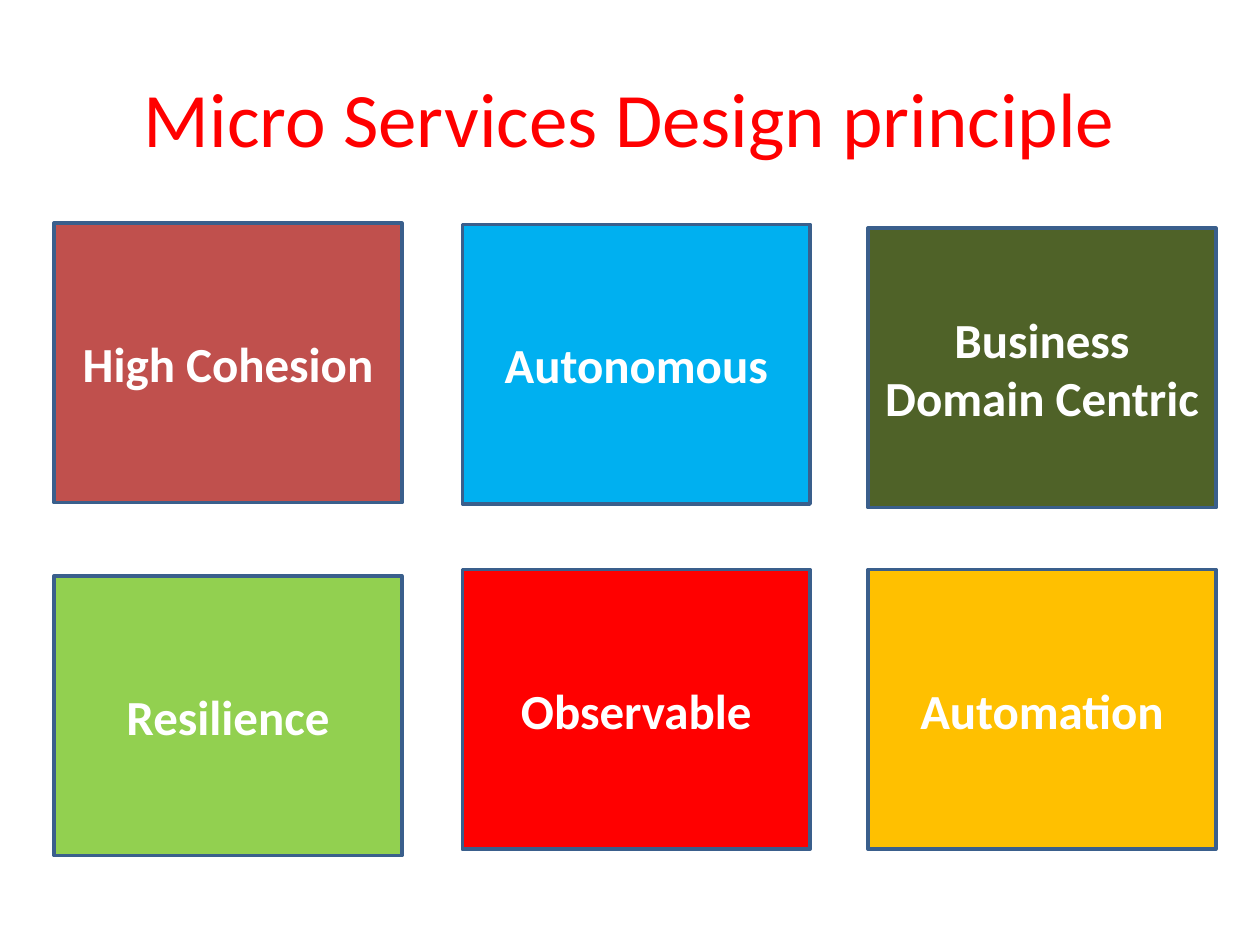
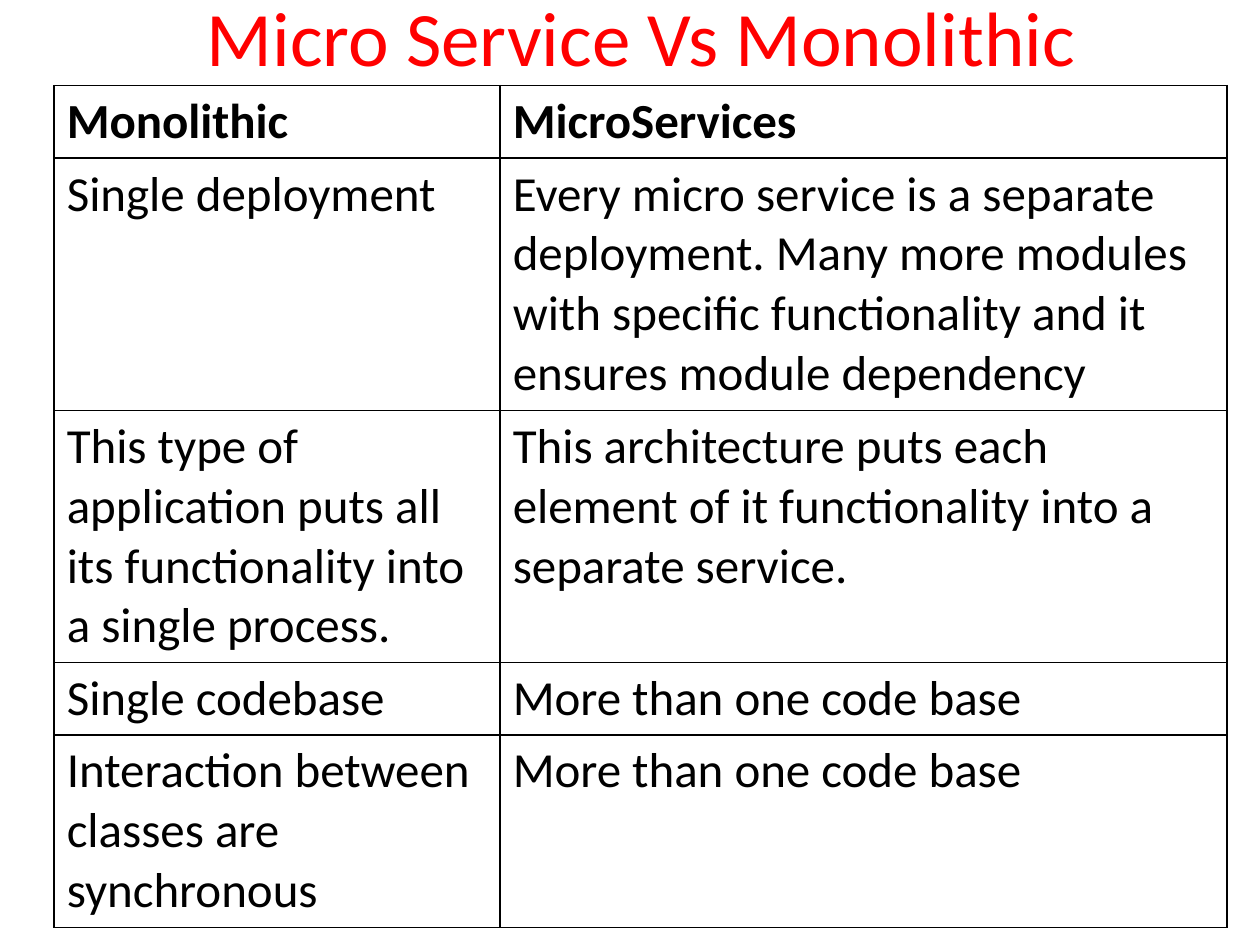
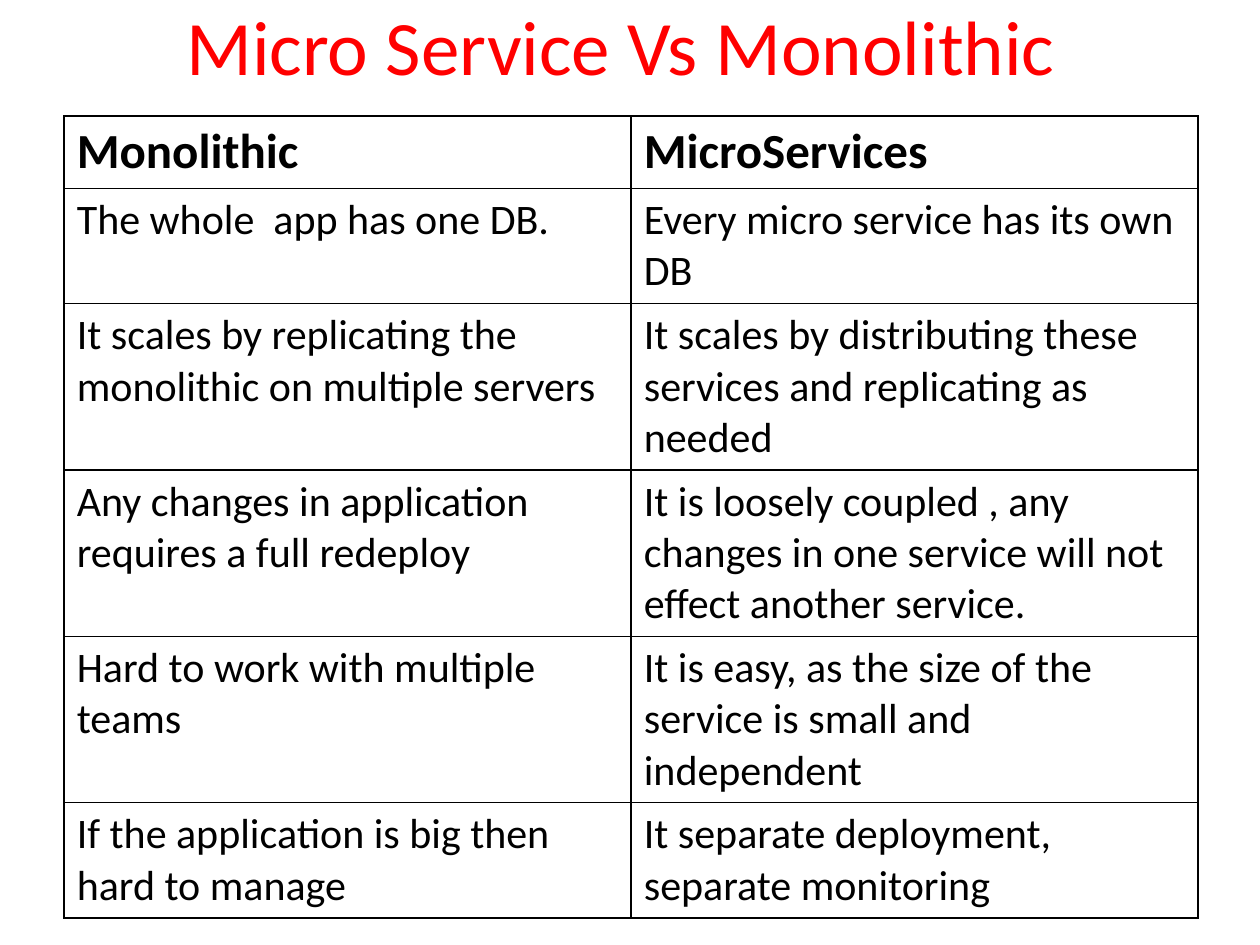
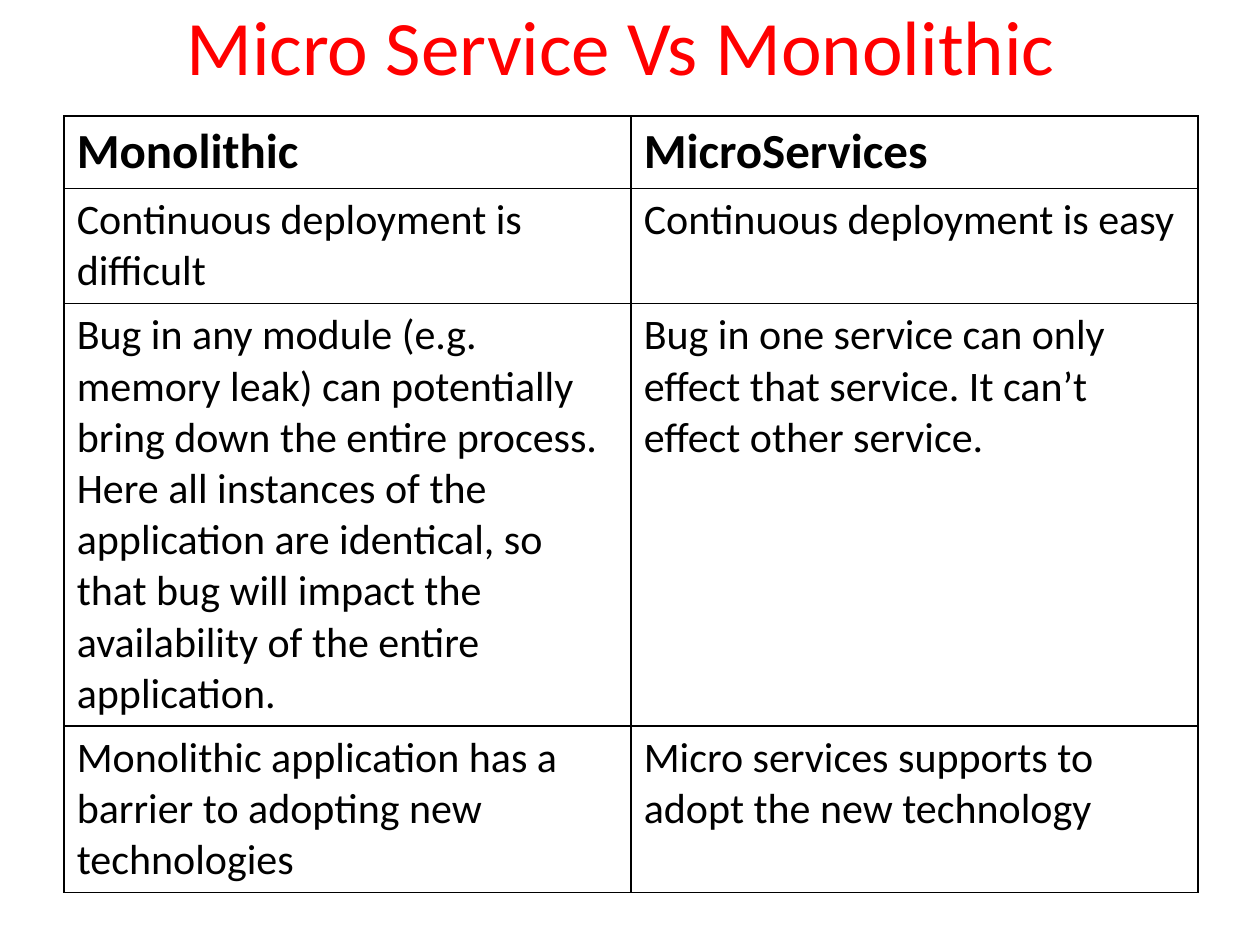
from pptx import Presentation
from pptx import util as u
from pptx.dml.color import RGBColor
from pptx.enum import shapes, text
from pptx.oxml import parse_xml
from pptx.oxml.ns import nsdecls

FONT = "Calibri"
COLORS = {
    "title": "FF0000", "text": "000000", "light": "FFFFFF",
    "border": "000000", "outline": "3A5F8C",
    "brick": "C0504D", "sky": "00B0F0", "olive": "4F6228",
    "green": "92D050", "red": "FF0000", "amber": "FFC000",
}


def put_text(tf, content, size=28, color="text", bold=False, align=text.PP_ALIGN.LEFT):
    p = tf.paragraphs[0]
    p.alignment = align
    r = p.add_run()
    r.text = content
    r.font.name = FONT
    r.font.size = u.Pt(size)
    r.font.bold = bold
    r.font.color.rgb = RGBColor.from_string(COLORS[color])


def add_titled_slide(prs, title, left, top):
    s = prs.slides.add_slide(prs.slide_layouts[5])
    sp = s.shapes.title
    sp.left, sp.top = u.Inches(left), u.Inches(top)
    sp.width, sp.height = u.Inches(9), u.Inches(1.25)
    sp.text_frame.vertical_anchor = text.MSO_ANCHOR.MIDDLE
    put_text(sp.text_frame, title, size=44, color="title", align=text.PP_ALIGN.CENTER)
    return s


prs = Presentation()
prs.slide_width, prs.slide_height = u.Inches(10), u.Inches(7.5)

# Design principles: three columns of two boxes, each with its own top
s = add_titled_slide(prs, "Micro Services Design principle", 0.5, 0.3)
columns = [
    (0.43, [("High Cohesion", "brick", 1.77), ("Resilience", "green", 4.57)]),
    (3.67, [("Autonomous", "sky", 1.78), ("Observable", "red", 4.52)]),
    (6.89, [("Business Domain Centric", "olive", 1.81), ("Automation", "amber", 4.52)]),
]
for left, boxes in columns:
    for principle, fill, top in boxes:
        sp = s.shapes.add_shape(shapes.MSO_SHAPE.RECTANGLE, u.Inches(left), u.Inches(top),
                                u.Inches(2.76), u.Inches(2.22))
        sp.shadow.inherit = False
        sp.fill.solid()
        sp.fill.fore_color.rgb = RGBColor.from_string(COLORS[fill])
        sp.line.color.rgb = RGBColor.from_string(COLORS["outline"])
        sp.line.width = u.Pt(2)
        tf = sp.text_frame
        tf.word_wrap = True
        tf.vertical_anchor = text.MSO_ANCHOR.MIDDLE
        put_text(tf, principle, color="light", bold=True, align=text.PP_ALIGN.CENTER)

# Comparison tables: title position, table position, column widths, body size, rows
HEADER = ("Monolithic", "MicroServices")
ROW_HEIGHT = 0.41
comparisons = [
    ((0.59, -0.34), (0.43, 0.68), (3.54, 5.77), 28, [
        ("Single deployment",
         "Every micro service is a separate deployment. Many more modules with specific "
         "functionality and it ensures module dependency"),
        ("This type of application puts all its functionality into a single process.",
         "This architecture puts each element of it functionality into a separate service."),
        ("Single codebase", "More than one code base"),
        ("Interaction between classes are synchronous", "More than one code base"),
    ]),
    ((0.43, -0.27), (0.51, 0.92), (4.5, 4.5), 24, [
        ("The whole  app has one DB.", "Every micro service has its own DB"),
        ("It scales by replicating the monolithic on multiple servers",
         "It scales by distributing these services and replicating as needed"),
        ("Any changes in application requires a full redeploy",
         "It is loosely coupled , any changes in one service will not  effect another service."),
        ("Hard to work with multiple teams",
         "It is easy, as the size of the service is small and independent"),
        ("If the application is big then hard to manage",
         "It separate deployment, separate monitoring"),
    ]),
    ((0.43, -0.27), (0.51, 0.92), (4.5, 4.5), 24, [
        ("Continuous deployment is difficult", "Continuous deployment is easy"),
        ("Bug in any module (e.g. memory leak) can potentially bring down the entire process. "
         "Here all instances of the application are identical, so that bug will impact the "
         "availability of the entire application.",
         "Bug in one service can only effect that service. It can’t effect other service."),
        ("Monolithic application has a barrier to adopting new technologies",
         "Micro services supports to adopt the new technology"),
    ]),
]
for title_at, (left, top), widths, body_size, body in comparisons:
    s = add_titled_slide(prs, "Micro Service Vs Monolithic", *title_at)
    rows = [HEADER] + body
    table = s.shapes.add_table(len(rows), len(widths), u.Inches(left), u.Inches(top),
                               u.Inches(sum(widths)), u.Inches(ROW_HEIGHT * len(rows))).table
    table.horz_banding = False
    for column, width in zip(table.columns, widths):
        column.width = u.Inches(width)
    for i, row in enumerate(rows):
        table.rows[i].height = u.Inches(ROW_HEIGHT)
        for j, content in enumerate(row):
            cell = table.cell(i, j)
            put_text(cell.text_frame, content, size=body_size if i else 28, bold=i == 0)
            # Borders come before the fill in the cell properties
            tcPr = cell._tc.get_or_add_tcPr()
            for side in ("lnL", "lnR", "lnT", "lnB"):
                tcPr.append(parse_xml(
                    f'<a:{side} {nsdecls("a")} w="{u.Pt(1)}"><a:solidFill>'
                    f'<a:srgbClr val="{COLORS["border"]}"/></a:solidFill></a:{side}>'))
            cell.fill.background()

prs.save("out.pptx")
